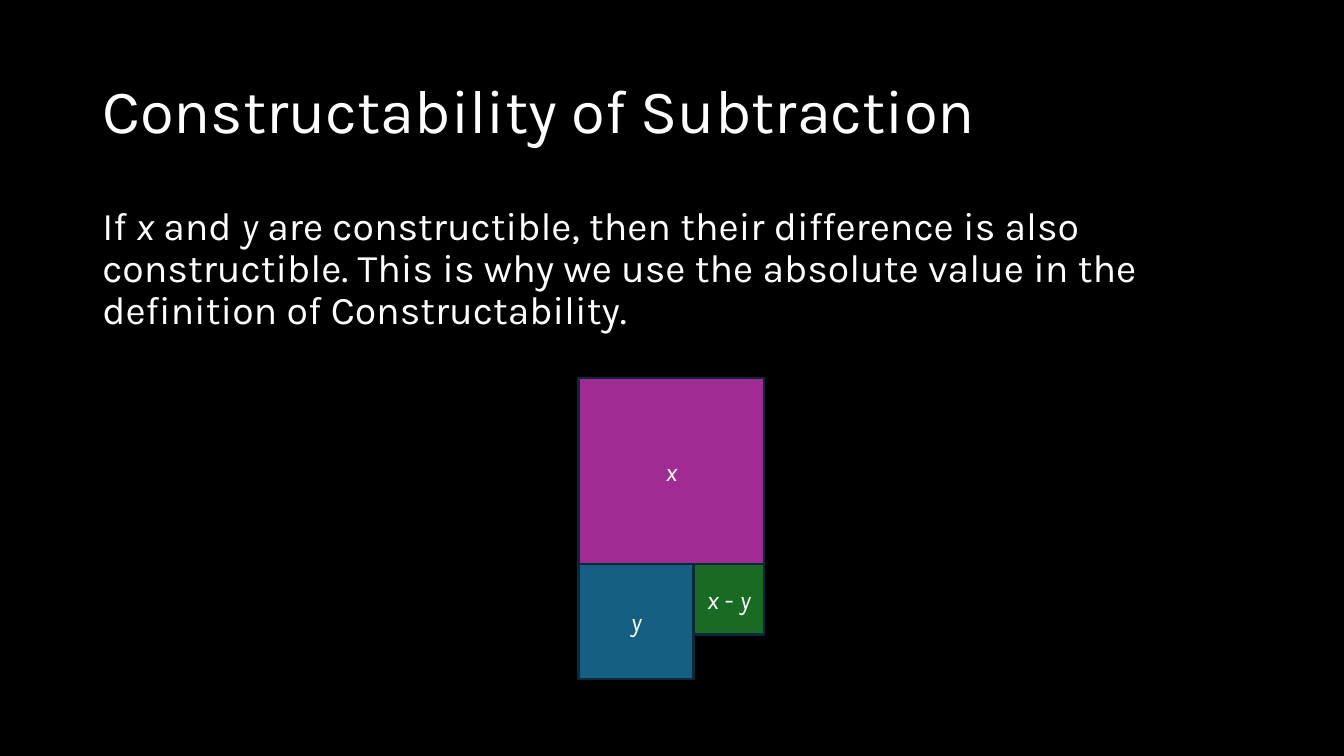
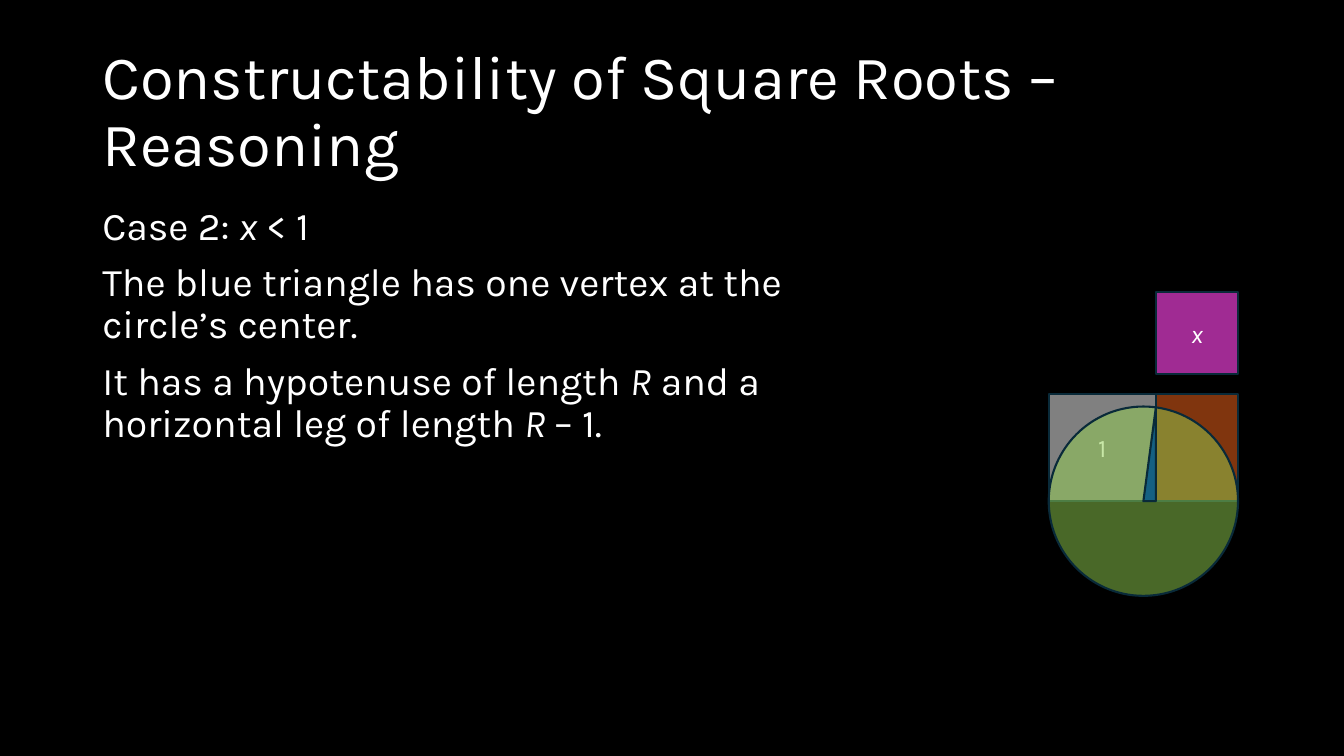
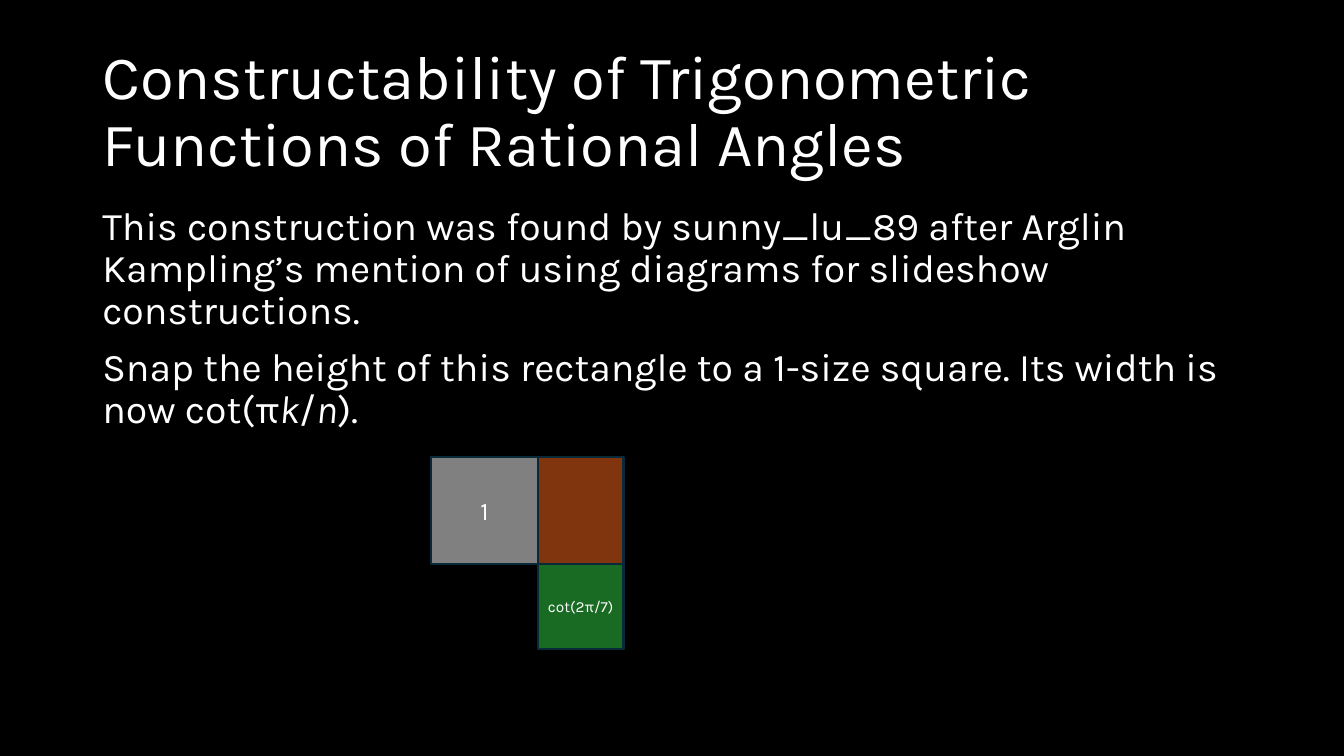
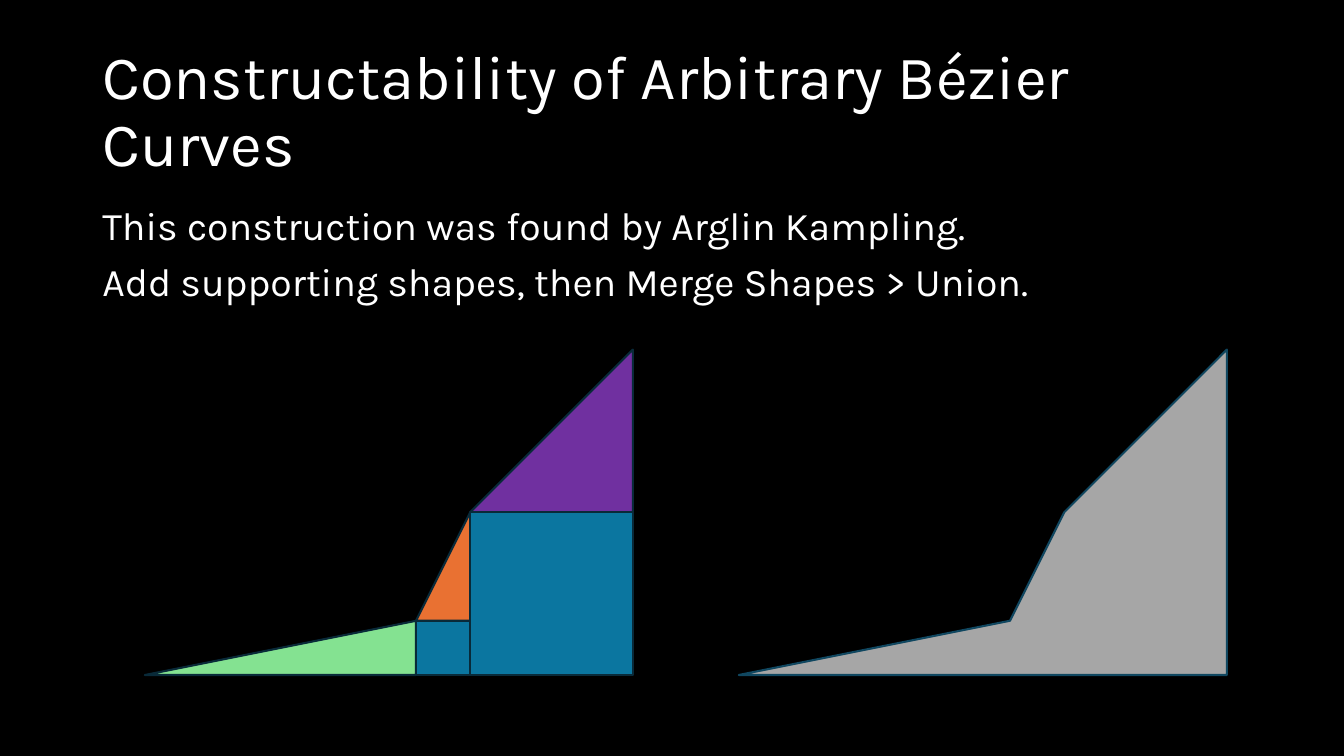
import math

import lxml.etree
import pptx
import pptx.dml.color
import pptx.enum.shapes
import pptx.enum.text
import pptx.oxml.ns
import pptx.util

Cm = pptx.util.Cm
Pt = pptx.util.Pt
hex_color = pptx.dml.color.RGBColor.from_string
qn = pptx.oxml.ns.qn

SHAPES = pptx.enum.shapes.MSO_SHAPE
RECTANGLE, OVAL, TRIANGLE = SHAPES.RECTANGLE, SHAPES.OVAL, SHAPES.RIGHT_TRIANGLE
ANCHOR = pptx.enum.text.MSO_ANCHOR

BLACK, WHITE = "000000", "FFFFFF"
GRAY, BROWN, MAGENTA = "808080", "80350E", "A02B93"
BLUE, GREEN, LIME = "156082", "196B24", "92D050"
TEAL, SILVER = "0B76A0", "A6A6A6"
OUTLINE, UNION_OUTLINE = "092A39", "104760"

TITLE_FORMAT = {"line_spacing": 0.9}
BODY_FORMAT = {"line_spacing": 0.9, "space_before": Pt(10)}
LABEL_FORMAT = {"alignment": pptx.enum.text.PP_ALIGN.CENTER}


def write_text(frame, texts, size, paragraph_format, frame_format):
    """Write one paragraph per text; parts between asterisks are italic."""
    for name, value in frame_format.items():
        setattr(frame, name, value)
    for index, text in enumerate(texts):
        paragraph = frame.add_paragraph() if index else frame.paragraphs[0]
        for name, value in paragraph_format.items():
            if index or name != "space_before":
                setattr(paragraph, name, value)
        for part, content in enumerate(text.split("*")):
            if not content:
                continue
            run = paragraph.add_run()
            run.text = content
            font_format = {"name": "Karla", "size": Pt(size), "italic": part % 2 == 1}
            for name, value in font_format.items():
                setattr(run.font, name, value)
            run.font.color.rgb = hex_color(WHITE)


def style_shape(shape, fill, outline):
    shape.shadow.inherit = False
    shape.fill.solid()
    shape.fill.fore_color.rgb = hex_color(fill)
    shape.line.color.rgb = hex_color(outline)
    shape.line.width = Pt(1.5)


# Figures: kind, left, top, width, height, fill, label, label size; lengths in cm
unit = 2.7

# Difference of two squares' sides
left, top, x_side, y_side = 14.58, 9.53, 4.68, 2.9
difference = x_side - y_side
subtraction = [
    (RECTANGLE, left, top, x_side, x_side, MAGENTA, "*x*", 18),
    (RECTANGLE, left, top + x_side, y_side, y_side, BLUE, "*y*", 18),
    (RECTANGLE, left + y_side, top + x_side, difference, difference, GREEN, "*x* - *y*", 18),
]

# Circle whose diameter is 1 + x
left, top, x_side = 26.43, 9.93, 2.07
middle, base = left + unit, top + unit
radius = (unit + x_side) / 2
leg = math.sqrt(unit * x_side)
square_root = [
    (RECTANGLE, left, top, unit, unit, GRAY, "1", 18),
    (RECTANGLE, middle, top, x_side, unit, BROWN, "", 18),
    (OVAL, left, base - radius, 2 * radius, 2 * radius, LIME, "", 18),
    (TRIANGLE, left + radius, base - leg, unit - radius, leg, BLUE, "", 18),
    (RECTANGLE, middle, 7.36, x_side, x_side, MAGENTA, "*x*", 18),
]

# Rectangle one unit high and cot(2π/7) wide
left, top = 10.86, 11.51
cotangent = unit / math.tan(2 * math.pi / 7)
trigonometry = [
    (RECTANGLE, left + unit, top, cotangent, unit, BROWN, "", 18),
    (RECTANGLE, left, top, unit, unit, GRAY, "1", 18),
    (RECTANGLE, left + unit, top + unit, cotangent, cotangent, GREEN, "cot(2π/7)", 11),
]

# Triangles between the control points, with supporting rectangles below
left, base, step = 3.65, 17.01, 12.3 / 9
control_points = [(0, 0), (5, 1), (6, 3), (9, 6)]
bezier = []
for (x0, y0), (x1, y1), fill in zip(control_points, control_points[1:], ("84E291", "E97132", "7030A0")):
    x, width = left + x0 * step, (x1 - x0) * step
    bezier.append((TRIANGLE, x, base - y1 * step, width, (y1 - y0) * step, fill, "", 18))
    if y0:
        bezier.append((RECTANGLE, x, base - y0 * step, width, y0 * step, TEAL, "", 18))

FULL_WIDTH = 29.21
slides = [
    ("Constructability of Subtraction", FULL_WIDTH, [
        "If *x* and *y* are constructible, then their difference is also constructible. "
        "This is why we use the absolute value in the definition of Constructability.",
    ], subtraction),
    ("Constructability of Square Roots – Reasoning", 20.78, [
        "Case 2: *x* < 1",
        "The blue triangle has one vertex at the circle’s center.",
        "It has a hypotenuse of length *R* and a horizontal leg of length *R *– 1.",
    ], square_root),
    ("Constructability of Trigonometric Functions of Rational Angles", FULL_WIDTH, [
        "This construction was found by sunny_lu_89 after Arglin Kampling’s mention "
        "of using diagrams for slideshow constructions.",
        "Snap the height of this rectangle to a 1-size square. Its width is now cot(π*k*/*n*).",
    ], trigonometry),
    ("Constructability of Arbitrary Bézier Curves", FULL_WIDTH, [
        "This construction was found by Arglin Kampling.",
        "Add supporting shapes, then Merge Shapes > Union.",
    ], bezier),
]

presentation = pptx.Presentation()
presentation.slide_width, presentation.slide_height = Cm(33.87), Cm(19.05)
background = presentation.slide_master.background.fill
background.solid()
background.fore_color.rgb = hex_color(BLACK)

for title, body_width, body, figure in slides:
    slide = presentation.slides.add_slide(presentation.slide_layouts[6])
    title_box = slide.shapes.add_textbox(Cm(2.33), Cm(1.01), Cm(FULL_WIDTH), Cm(3.68))
    write_text(title_box.text_frame, [title], 44, TITLE_FORMAT,
               {"word_wrap": True, "vertical_anchor": ANCHOR.MIDDLE})
    body_box = slide.shapes.add_textbox(Cm(2.33), Cm(5.07), Cm(body_width), Cm(12.09))
    write_text(body_box.text_frame, body, 28, BODY_FORMAT,
               {"word_wrap": True, "vertical_anchor": ANCHOR.TOP})

    for kind, x, y, width, height, fill, label, size in figure:
        shape = slide.shapes.add_shape(kind, Cm(x), Cm(y), Cm(width), Cm(height))
        style_shape(shape, fill, OUTLINE)
        if kind == TRIANGLE:
            shape.element.spPr.xfrm.set("flipH", "1")
        if kind == OVAL:
            fill_color = shape.element.spPr.find(qn("a:solidFill")).find(qn("a:srgbClr"))
            lxml.etree.SubElement(fill_color, qn("a:alpha")).set("val", "50000")
        if label:
            write_text(shape.text_frame, [label], size, LABEL_FORMAT,
                       {"word_wrap": False, "vertical_anchor": ANCHOR.MIDDLE})

# The union of the pieces, on the last slide
union_left = 18.62
outline_points = [(Cm(union_left + x * step), Cm(base - y * step))
                  for x, y in control_points + [(9, 0)]]
builder = slide.shapes.build_freeform(*outline_points[0], scale=1.0)
builder.add_line_segments(outline_points[1:], close=True)
style_shape(builder.convert_to_shape(), SILVER, UNION_OUTLINE)

presentation.save("out.pptx")
